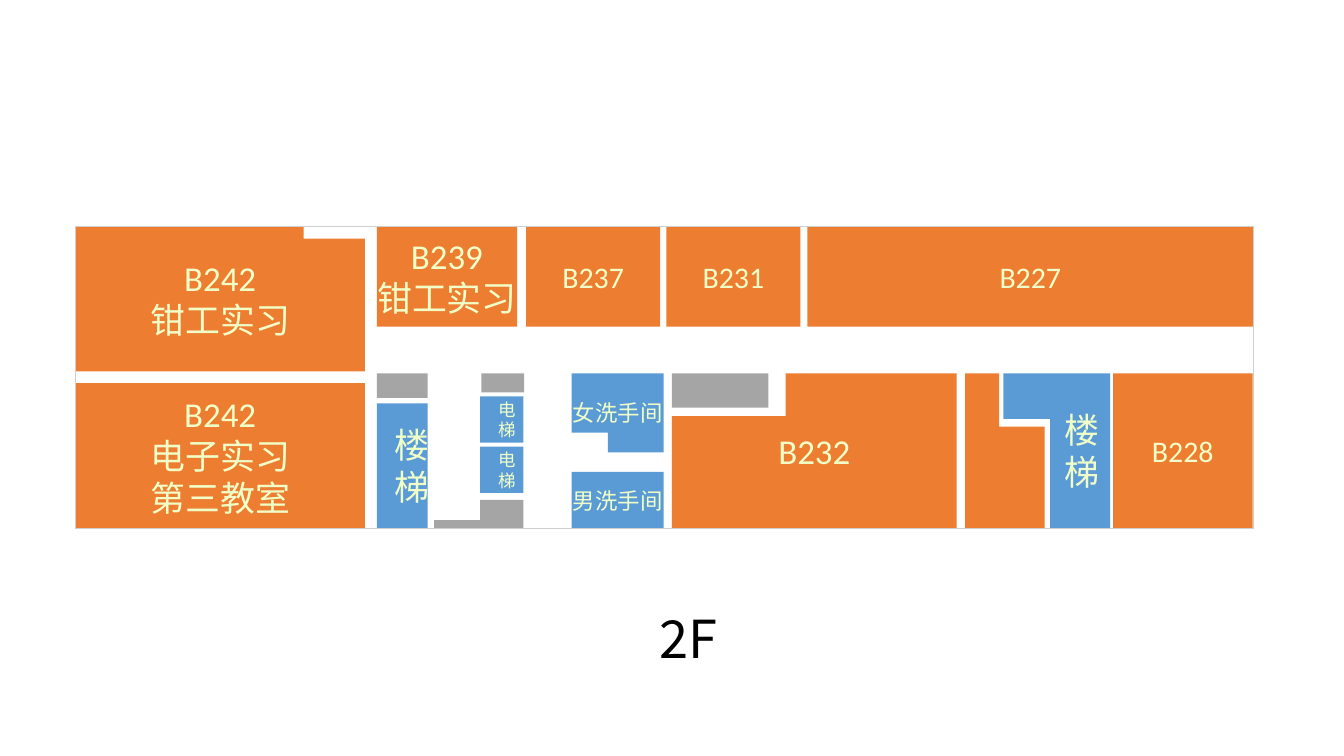
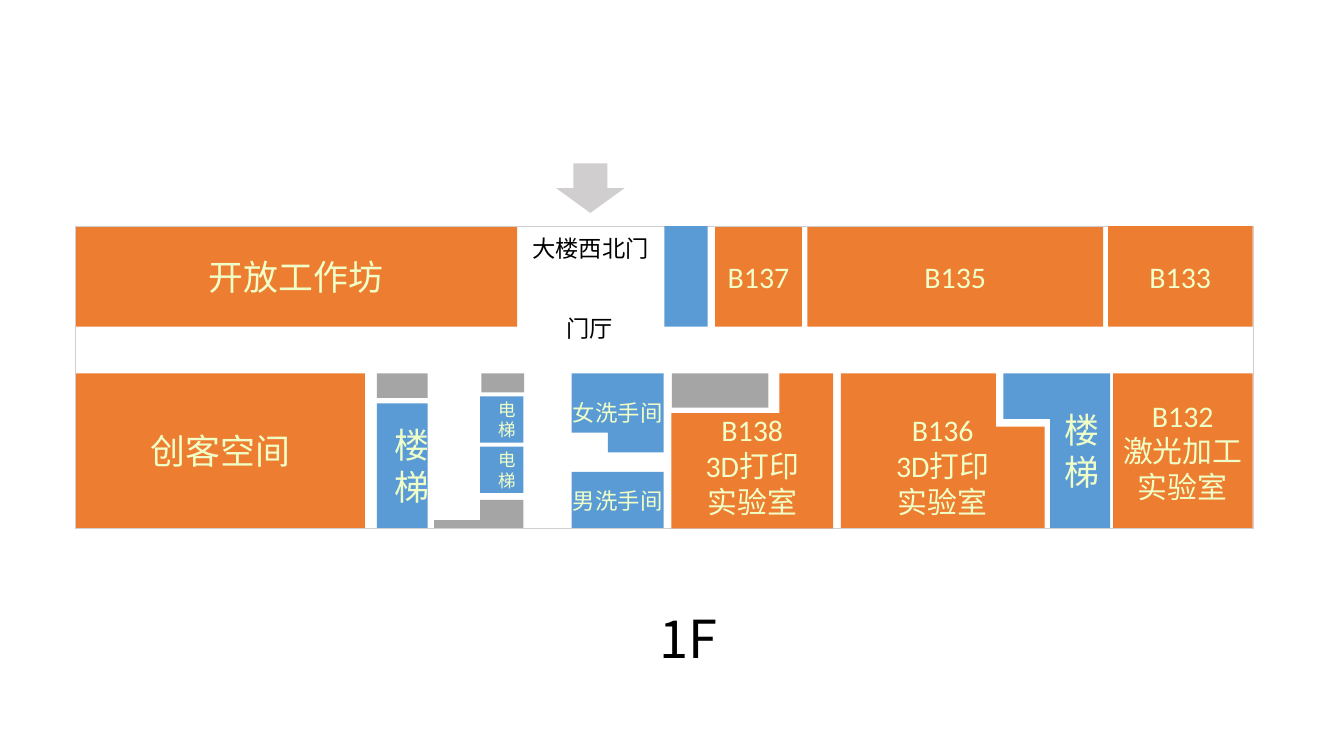
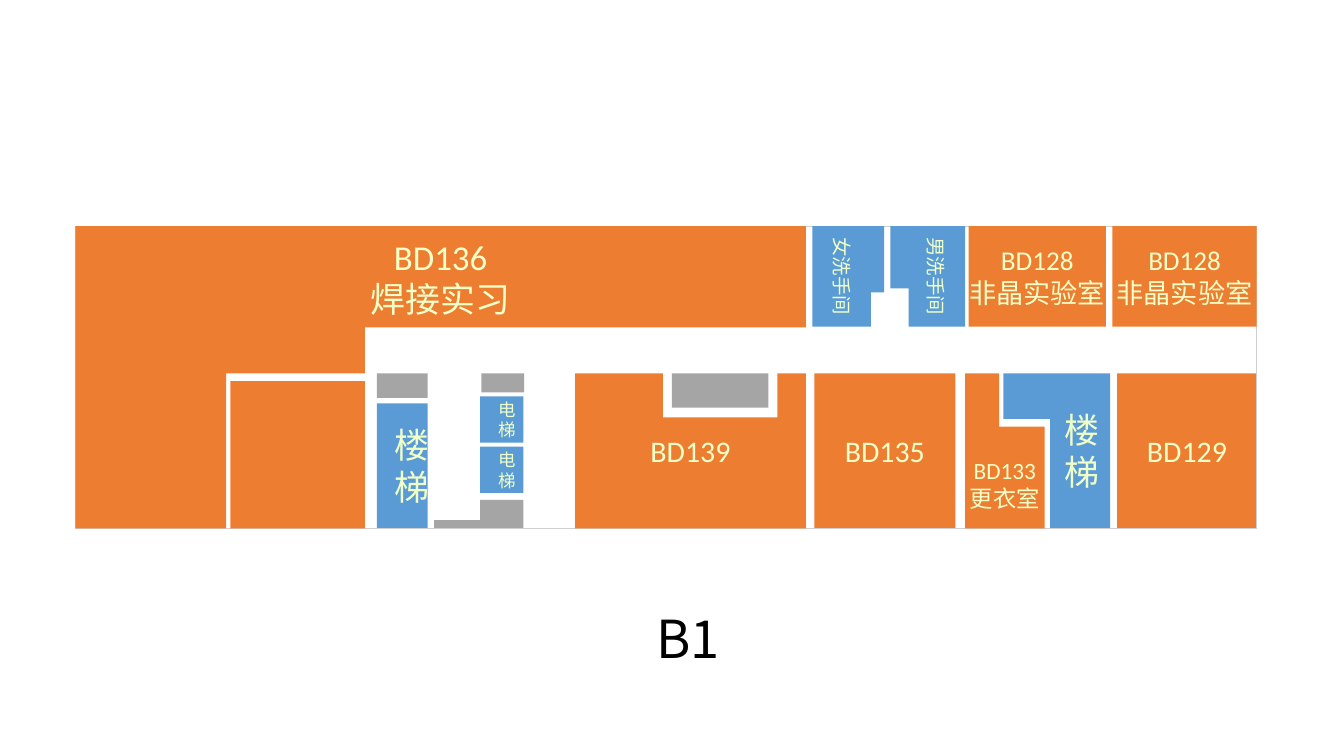
from dataclasses import dataclass

from pptx import Presentation
from pptx import util as u
from pptx.dml.color import RGBColor
from pptx.enum import shapes, text

PX = u.Inches(1) // 100

ORANGE = RGBColor(0xED, 0x7D, 0x31)
BLUE = RGBColor(0x5B, 0x9B, 0xD5)
GREY = RGBColor(0xA5, 0xA5, 0xA5)
SILVER = RGBColor(0xD0, 0xCE, 0xCE)
PALE = RGBColor(0xF0, 0xFF, 0xC8)
BLACK = RGBColor(0, 0, 0)

ROOM_FONT = "Calibri"
FLOOR_FONT = "Noto Sans CJK SC"
TOP, BOTTOM = 324, 757
NORTH = (TOP, 468)
SOUTH = (535, BOTTOM)
WEST = 108
SNUG = (0, 13, 0, 13)
ROOMY = (26, 13, 26, 13)

Corners = tuple[tuple[int, int], ...]


@dataclass(frozen=True)
class Area:
    corners: Corners
    lines: tuple[str, ...] = ()
    size: float = 30.8
    fill: RGBColor | None = ORANGE
    color: RGBColor = PALE
    inset: tuple[int, int, int, int] = SNUG
    anchor: text.MSO_ANCHOR = text.MSO_ANCHOR.MIDDLE
    align: text.PP_ALIGN = text.PP_ALIGN.CENTER
    preset: shapes.MSO_SHAPE = shapes.MSO_SHAPE.RECTANGLE
    vertical: bool = False


@dataclass(frozen=True)
class Floor:
    label: str
    east: int
    under_frame: tuple[Area, ...]
    over_frame: tuple[Area, ...] = ()


def row(left: int, right: int, limits: tuple[int, int]) -> Corners:
    return (left, limits[0]), (right, limits[1])


def block(left: int, top: int, width: int, height: int) -> Corners:
    return (left, top), (left + width, top + height)


def notched(left: int, step: int, right: int, depth: int) -> Corners:
    top, bottom = SOUTH
    return ((left, top), (step, top), (step, depth), (right, depth),
            (right, bottom), (left, bottom))


def hooked(left: int, step: int, right: int, depth: int) -> Corners:
    top, bottom = SOUTH
    return ((step, top), (right, top), (right, bottom), (left, bottom),
            (left, depth), (step, depth))


CORE = (
    Area(row(540, 613, (578, BOTTOM)), ("楼梯",), 36, BLUE, inset=ROOMY),
    *(Area(block(688, top, 62, 66), ("电梯",), 18, BLUE, inset=ROOMY)
      for top in (568, 640)),
    Area(((688, 716), (750, 716), (750, BOTTOM), (622, BOTTOM), (622, 745), (688, 745)),
         fill=GREY),
    Area(block(963, 535, 138, 49), fill=GREY),
    Area(block(540, 535, 73, 35), fill=GREY),
    Area(block(690, 535, 61, 27), fill=GREY),
    Area(((1438, 535), (1591, 535), (1591, BOTTOM), (1505, BOTTOM), (1505, 600), (1438, 600)),
         ("楼", "梯"), 36, BLUE, inset=(8, 13, 16, 13), align=text.PP_ALIGN.RIGHT),
)

WASHROOMS = (
    Area(((819, 535), (951, 535), (951, 648), (871, 648), (871, 620), (819, 620)),
         ("女洗手间",), 23.1, BLUE),
    Area(row(819, 951, (676, BOTTOM)), ("男洗手间",), 23.1, BLUE),
)

SMALL_EAST_ROOM = notched(1383, 1432, 1497, 611)

FLOORS = (
    Floor("2F", 1796, (
        *WASHROOMS,
        Area(row(540, 741, NORTH), ("B239", "钳工实习"), 36),
        Area(row(754, 946, NORTH), ("B237",)),
        Area(row(955, 1147, NORTH), ("B231",)),
        Area(row(1157, 1796, NORTH), ("B227",)),
        Area(((WEST, TOP), (435, TOP), (435, 342), (523, 342), (523, 532), (WEST, 532)),
             ("B242", "钳工实习"), 36),
        Area(row(WEST, 523, (549, BOTTOM)), ("B242", "电子实习", "第三教室"), 36, inset=ROOMY),
        Area(hooked(963, 1126, 1371, 596), ("B232",), 36, inset=ROOMY),
        Area(SMALL_EAST_ROOM),
        Area(row(1595, 1795, SOUTH), ("B228",)),
    )),
    Floor("1F", 1796, (
        *WASHROOMS,
        Area(row(WEST, 741, NORTH), ("开放工作坊",), 36),
        Area(row(WEST, 523, SOUTH), ("创客空间",), 36, inset=ROOMY),
        Area(row(1025, 1149, NORTH), ("B137",)),
        Area(row(1157, 1581, NORTH), ("B135",)),
        Area(row(1595, 1795, SOUTH), ("B132", "激光加工", "实验室")),
        Area(notched(1205, 1427, 1497, 611), ("B136", "3D打印", "实验室"),
             anchor=text.MSO_ANCHOR.BOTTOM),
    ), (
        Area(row(952, 1014, NORTH), fill=BLUE),
        Area(row(1588, 1795, NORTH), ("B133",)),
        Area(hooked(962, 1117, 1194, 592), ("B138", "3D打印", "实验室"),
             anchor=text.MSO_ANCHOR.BOTTOM),
        Area(block(797, 234, 98, 71), fill=SILVER, preset=shapes.MSO_SHAPE.DOWN_ARROW),
        Area(block(776, 439, 139, 62), ("门厅",), 24, None, BLACK, ROOMY),
        Area(block(742, TOP, 208, 62), ("大楼西北门",), 24, None, BLACK, (16, 13, 16, 13)),
    )),
    Floor("B1", 1801, (
        Area(row(1167, 1369, SOUTH), ("BD135",)),
        Area(row(1601, 1801, SOUTH), ("BD129",)),
    ), (
        *(Area(row(left, right, NORTH), ("BD128", "非晶实验室"), 28)
          for left, right in ((1388, 1585), (1594, 1801))),
        Area(((1164, TOP), (1267, TOP), (1267, 419), (1248, 419), (1248, 468), (1164, 468)),
             ("女洗手间",), 20, BLUE, inset=ROOMY, anchor=text.MSO_ANCHOR.BOTTOM, vertical=True),
        Area(((1276, TOP), (1383, TOP), (1383, 468), (1302, 468), (1302, 413), (1276, 413)),
             ("男洗手间",), 20, BLUE, inset=(4, 13, 24, 13), anchor=text.MSO_ANCHOR.TOP,
             vertical=True),
        Area(SMALL_EAST_ROOM, ("BD133", "更衣室"), 24, inset=(0, 13, 0, 24),
             anchor=text.MSO_ANCHOR.BOTTOM),
        Area(((824, 535), (950, 535), (950, 598), (1114, 598), (1114, 535), (1155, 535),
              (1155, BOTTOM), (824, BOTTOM)), ("BD139",)),
        Area(((WEST, TOP), (1155, TOP), (1155, 469), (523, 469), (523, 535), (324, 535),
              (324, BOTTOM), (WEST, BOTTOM)), ("BD136", "焊接实习"), 36, inset=ROOMY,
             anchor=text.MSO_ANCHOR.TOP),
        Area(row(330, 523, (546, BOTTOM))),
    )),
)


def format_text(frame, size: float, color: RGBColor, font: str, align) -> None:
    for para in frame.paragraphs:
        para.alignment = align
        para.line_spacing = 1.0
        for span in para.runs:
            span.font.size = u.Pt(size)
            span.font.name = font
            span.font.color.rgb = color


def add_outline(page, area: Area):
    if len(area.corners) > 2:
        builder = page.shapes.build_freeform(*area.corners[0], scale=PX)
        builder.add_line_segments(area.corners[1:], close=True)
        return builder.convert_to_shape()
    (left, top), (right, bottom) = area.corners
    place = [value * PX for value in (left, top, right - left, bottom - top)]
    if area.fill is None:
        return page.shapes.add_textbox(*place)
    return page.shapes.add_shape(area.preset, *place)


def draw_area(page, area: Area) -> None:
    box = add_outline(page, area)
    if area.fill is not None:
        box.shadow.inherit = False
        box.fill.solid()
        box.fill.fore_color.rgb = area.fill
        box.line.fill.background()
    if not area.lines:
        return
    frame = box.text_frame
    frame.text = "\n".join(area.lines)
    frame.word_wrap = True
    frame.vertical_anchor = area.anchor
    (frame.margin_left, frame.margin_top,
     frame.margin_right, frame.margin_bottom) = (value * PX for value in area.inset)
    if area.vertical:
        box.element.txBody.bodyPr.set("vert", "vert")
    format_text(frame, area.size, area.color, ROOM_FONT, area.align)


def draw_frame(page, east: int) -> None:
    box = page.shapes.add_shape(shapes.MSO_SHAPE.RECTANGLE, WEST * PX, TOP * PX,
                                (east - WEST) * PX, (BOTTOM - TOP) * PX)
    box.shadow.inherit = False
    box.fill.background()
    box.line.color.rgb = SILVER
    box.line.width = u.Pt(1)


def draw_label(page, label: str) -> None:
    title = page.shapes.title
    title.left, title.top, title.width, title.height = (
        value * PX for value in (817, 864, 338, 101))
    frame = title.text_frame
    frame.text = label
    frame.word_wrap = True
    frame.auto_size = text.MSO_AUTO_SIZE.SHAPE_TO_FIT_TEXT
    frame.vertical_anchor = text.MSO_ANCHOR.TOP
    format_text(frame, 54, BLACK, FLOOR_FONT, text.PP_ALIGN.CENTER)


def draw_floor(deck, floor: Floor) -> None:
    page = deck.slides.add_slide(deck.slide_layouts[5])
    draw_label(page, floor.label)
    for area in CORE + floor.under_frame:
        draw_area(page, area)
    draw_frame(page, floor.east)
    for area in floor.over_frame:
        draw_area(page, area)


def main() -> None:
    deck = Presentation()
    deck.slide_width = 1926 * PX
    deck.slide_height = 1083 * PX
    for floor in FLOORS:
        draw_floor(deck, floor)
    deck.save("out.pptx")


if __name__ == "__main__":
    main()
